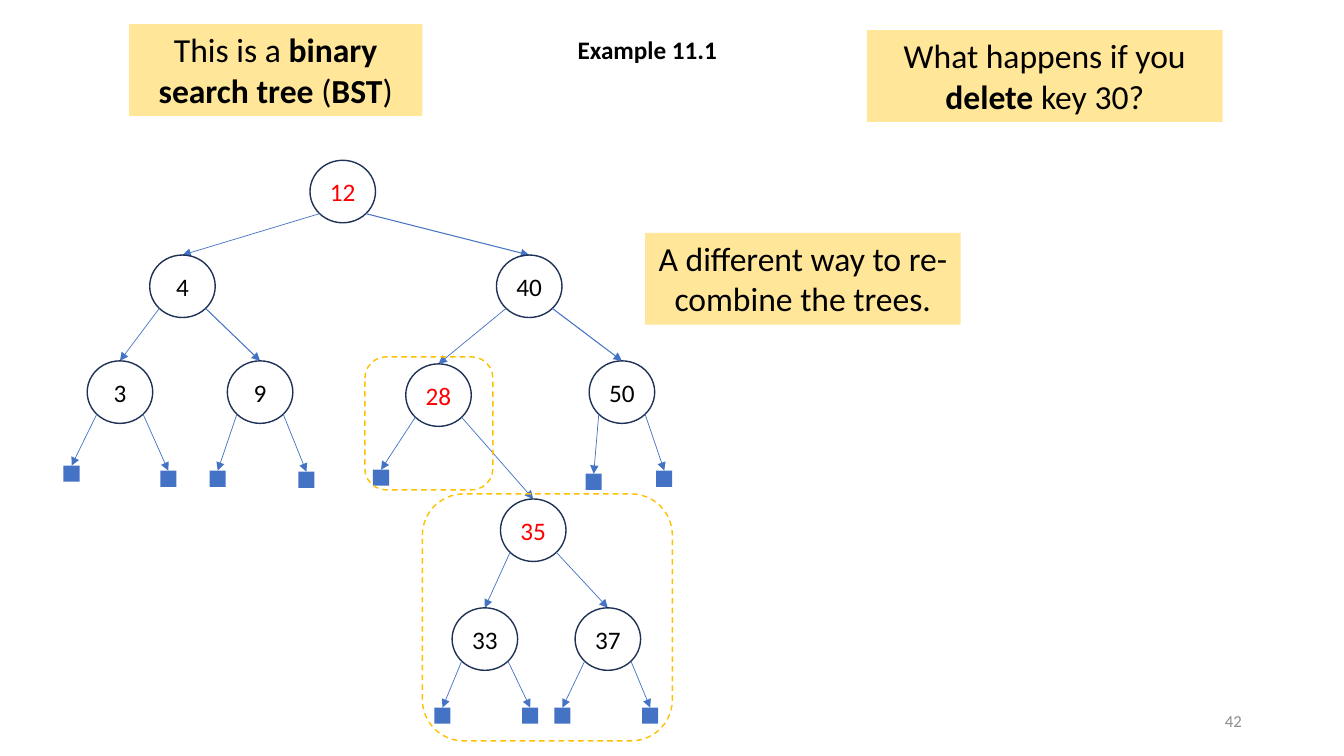
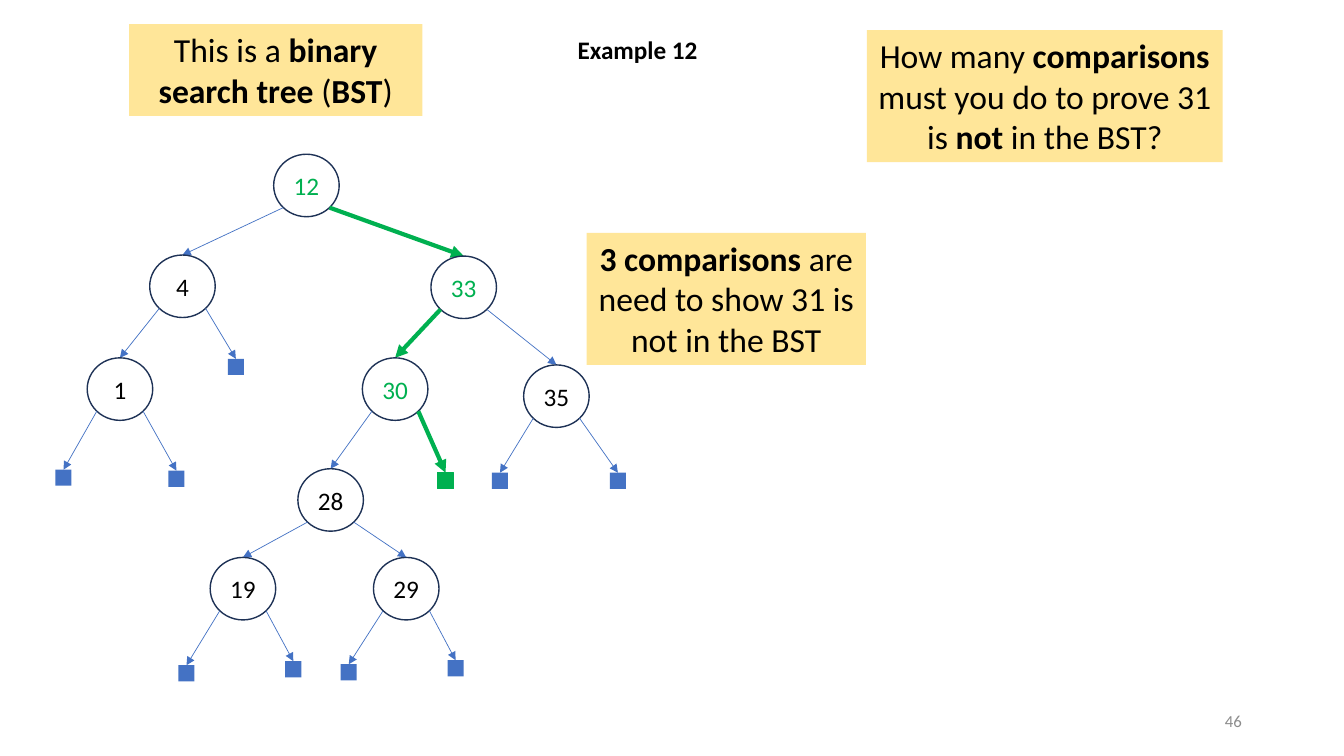
"""Build two slides that work through binary search tree examples."""
from dataclasses import dataclass
from enum import Enum
from typing import Any, NamedTuple

from lxml.etree import SubElement
from pptx import Presentation
from pptx.dml.color import RGBColor
from pptx.enum.dml import MSO_LINE
from pptx.enum.shapes import MSO_CONNECTOR, MSO_SHAPE as Preset
from pptx.enum.text import MSO_ANCHOR as Anchor, MSO_AUTO_SIZE as AutoSize, PP_ALIGN as Align
from pptx.oxml.ns import qn
from pptx.slide import Slide
from pptx.util import Emu, Inches, Pt

BLACK = RGBColor(0x00, 0x00, 0x00)
RED = RGBColor(0xFF, 0x00, 0x00)
GREEN = RGBColor(0x00, 0xB0, 0x50)
BLUE = RGBColor(0x44, 0x72, 0xC4)
NAVY = RGBColor(0x1E, 0x32, 0x56)
AMBER = RGBColor(0xFF, 0xC0, 0x00)
CREAM = RGBColor(0xFF, 0xE6, 0x99)
GREY = RGBColor(0x8C, 0x8C, 0x8C)

CELL = 0.1
COLUMNS, ROWS = 133.33, 75
NODE_WIDTH, NODE_HEIGHT = 6.5, 6.2
LEAF_SIZE = 1.6
EDGE_SHIFT, EDGE_DROP = 2.3, 5.3
TITLE_ONLY = 5

TOP_FRAME = {"auto_size": AutoSize.NONE, "word_wrap": True, "vertical_anchor": Anchor.TOP}
MIDDLE_FRAME = TOP_FRAME | {"vertical_anchor": Anchor.MIDDLE}
TITLE_FRAME = TOP_FRAME | {"word_wrap": False}
KEY_FRAME = MIDDLE_FRAME | {
    "word_wrap": False,
    "margin_left": 0, "margin_right": 0, "margin_top": 0, "margin_bottom": 0,
}


class Style(NamedTuple):
    key: RGBColor
    edge: RGBColor
    weight: float


class Mark(Enum):
    PLAIN = Style(BLACK, BLUE, 0.5)
    FIRM = Style(BLACK, BLUE, 0.75)
    MOVED = Style(RED, BLUE, 0.5)
    VISITED = Style(GREEN, GREEN, 3)


class Area(NamedTuple):
    column: float
    row: float
    columns: float
    rows: float


class Note(NamedTuple):
    area: Area
    text: str


@dataclass(frozen=True)
class Node:
    key: str
    column: float
    row: float
    left: "Node | None" = None
    right: "Node | None" = None
    mark: Mark = Mark.PLAIN


@dataclass(frozen=True)
class Example:
    title: Note
    number: str
    notes: tuple[Note, ...]
    tree: Node
    regions: tuple[Area, ...] = ()


def cells(count: float) -> Emu:
    return Inches(count * CELL)


def apply(target: Any, values: dict[str, Any]) -> None:
    for name, value in values.items():
        setattr(target, name, value)


def place(area: Area) -> tuple[Emu, ...]:
    return tuple(cells(length) for length in area)


def write(box: Any, text: str, size: float, colour: RGBColor, align: Align,
          frame: dict[str, Any]) -> None:
    apply(box.text_frame, frame)
    para = box.text_frame.paragraphs[0]
    para.alignment = align
    for index, part in enumerate(text.split("**")):
        if part:
            span = para.add_run()
            span.text = part
            apply(span.font, {"name": "Calibri", "size": Pt(size), "bold": index % 2 == 1})
            span.font.color.rgb = colour


def add_box(page: Slide, preset: Preset, area: Area, fill: RGBColor | None = None,
            line: RGBColor | None = None) -> Any:
    box = page.shapes.add_shape(preset, *place(area))
    box.shadow.inherit = False
    if fill is None:
        box.fill.background()
    else:
        box.fill.solid()
        box.fill.fore_color.rgb = fill
    if line is None:
        box.line.fill.background()
    else:
        box.line.color.rgb = line
        box.line.width = Pt(1)
    return box


def add_edge(page: Slide, parent: Node, child: Node, side: int) -> None:
    ends = (parent.column + side * EDGE_SHIFT, parent.row + EDGE_DROP, child.column, child.row)
    edge = page.shapes.add_connector(MSO_CONNECTOR.STRAIGHT, *map(cells, ends))
    edge.line.color.rgb = child.mark.value.edge
    edge.line.width = Pt(child.mark.value.weight)
    properties = edge._element.spPr
    SubElement(properties.find(qn("a:ln")), qn("a:tailEnd"), type="triangle")
    SubElement(properties, qn("a:effectLst"))


def add_tree(page: Slide, node: Node) -> None:
    if not node.key:
        area = Area(node.column - LEAF_SIZE / 2, node.row, LEAF_SIZE, LEAF_SIZE)
        outline = GREEN if node.mark is Mark.VISITED else None
        add_box(page, Preset.RECTANGLE, area, node.mark.value.edge, outline)
        return
    area = Area(node.column - NODE_WIDTH / 2, node.row, NODE_WIDTH, NODE_HEIGHT)
    circle = add_box(page, Preset.OVAL, area, line=NAVY)
    write(circle, node.key, 18, node.mark.value.key, Align.CENTER, KEY_FRAME)
    for side, child in ((-1, node.left), (1, node.right)):
        if child:
            add_edge(page, node, child, side)
            add_tree(page, child)


def add_example(deck: Any, example: Example) -> None:
    page = deck.slides.add_slide(deck.slide_layouts[TITLE_ONLY])
    title = page.shapes.title
    apply(title, dict(zip(("left", "top", "width", "height"), place(example.title.area))))
    write(title, f"**{example.title.text}**", 18, BLACK, Align.LEFT, TITLE_FRAME)
    number = page.shapes.add_textbox(*place(Area(94.2, 69.5, 30, 4)))
    write(number, example.number, 12, GREY, Align.RIGHT, MIDDLE_FRAME)
    add_tree(page, example.tree)
    for note in (INTRODUCTION, *example.notes):
        box = add_box(page, Preset.RECTANGLE, note.area, CREAM)
        write(box, note.text, 24, BLACK, Align.CENTER, TOP_FRAME)
    for area in example.regions:
        region = add_box(page, Preset.ROUNDED_RECTANGLE, area, line=AMBER)
        region.line.dash_style = MSO_LINE.DASH


def leaf(column: float, row: float, mark: Mark = Mark.PLAIN) -> Node:
    return Node("", column, row, mark=mark)


INTRODUCTION = Note(Area(12.8, 2.4, 29.1, 9.1), "This is a **binary search tree** (**BST**)")

DELETION_TREE = Node(
    "12", 34, 15.9,
    Node("4", 18.1, 25.3,
         Node("3", 11.9, 35.8, leaf(7.1, 46.2), leaf(16.7, 46.7)),
         Node("9", 25.8, 35.8, leaf(21.6, 46.7), leaf(30.4, 46.8), Mark.FIRM)),
    Node("40", 52.5, 25.3,
         Node("28", 43.5, 36.1,
              leaf(37.8, 46.6),
              Node("35", 52.9, 49.5,
                   Node("33", 48.1, 60.3, leaf(43.9, 70.2), leaf(52.6, 70.2)),
                   Node("37", 60.3, 60.3, leaf(55.8, 70.2), leaf(64.5, 70.2)),
                   Mark.MOVED),
              Mark.MOVED),
         Node("50", 61.7, 35.8, leaf(58.9, 47), leaf(65.9, 46.7), Mark.FIRM),
         Mark.FIRM),
    Mark.MOVED)

SEARCH_TREE = Node(
    "12", 30.4, 15.3,
    Node("4", 18.1, 25.3,
         Node("1", 11.9, 35.5, leaf(6.3, 46.6), leaf(17.5, 46.7)),
         leaf(23.4, 35.6)),
    Node("33", 46, 25.4,
         Node("30", 39.2, 35.5,
              Node("28", 32.8, 46.5,
                   Node("19", 24.1, 55.3, leaf(18.5, 66), leaf(29.1, 65.6)),
                   Node("29", 40.3, 55.3, leaf(34.6, 65.9), leaf(45.2, 65.5))),
              leaf(44.2, 46.9, Mark.VISITED),
              Mark.VISITED),
         Node("35", 55.2, 36.2, leaf(49.6, 46.9), leaf(61.3, 46.9)),
         Mark.VISITED),
    Mark.VISITED)

EXAMPLES = (
    Example(
        Note(Area(56.3, 2.9, 16, 4), "Example 11.1"), "42",
        (Note(Area(86, 3, 35.3, 9.1), "What happens if you **delete** key 30?"),
         Note(Area(64, 23.1, 31.3, 9.1), "A different way to re-combine the trees.")),
        DELETION_TREE,
        (Area(36.2, 35.4, 12.7, 13.2), Area(41.9, 49, 24.8, 24.5))),
    Example(
        Note(Area(56.3, 2.9, 14, 4), "Example 12"), "46",
        (Note(Area(86, 3, 35.3, 13.1),
              "How many **comparisons** must you do to prove 31 is **not** in the BST?"),
         Note(Area(58.2, 23.1, 27.7, 13.1),
              "**3 comparisons **are need to show 31 is not in the BST")),
        SEARCH_TREE),
)


def main() -> None:
    deck = Presentation()
    apply(deck, {"slide_width": cells(COLUMNS), "slide_height": cells(ROWS)})
    for example in EXAMPLES:
        add_example(deck, example)
    deck.save("out.pptx")


if __name__ == "__main__":
    main()
